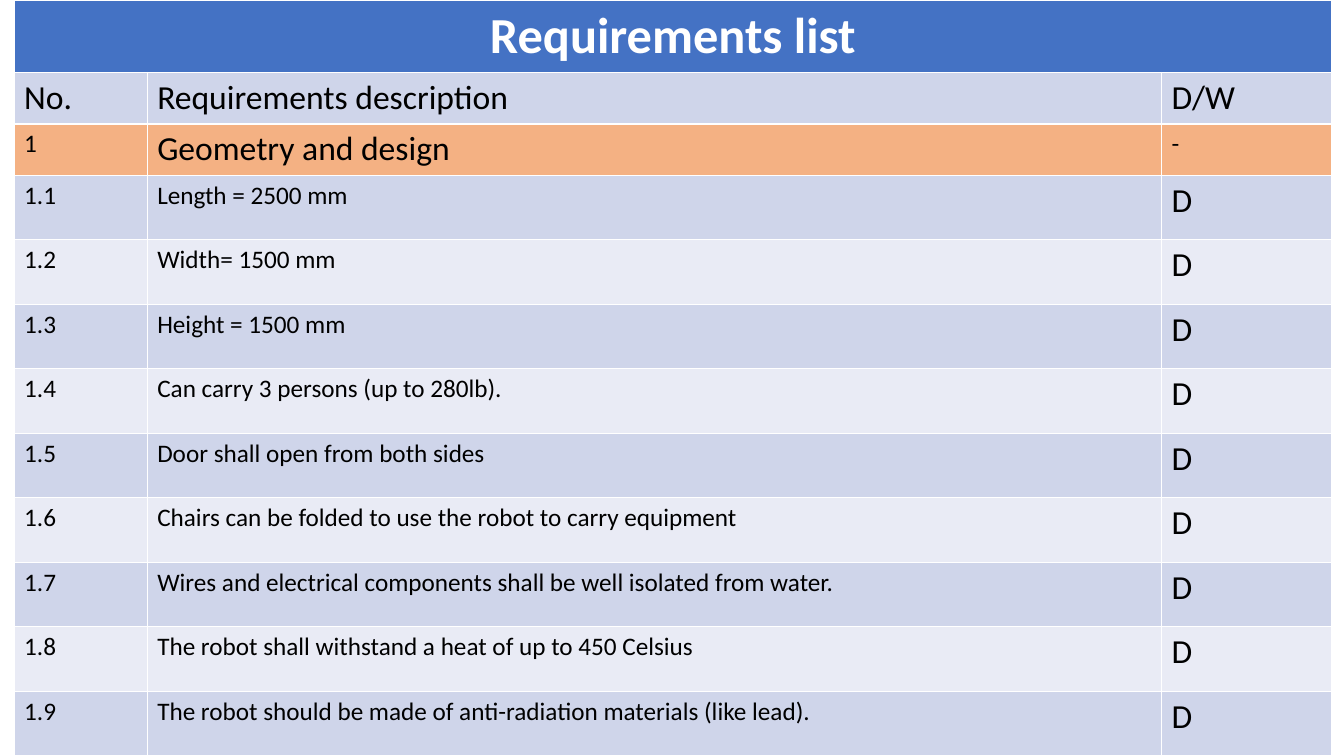
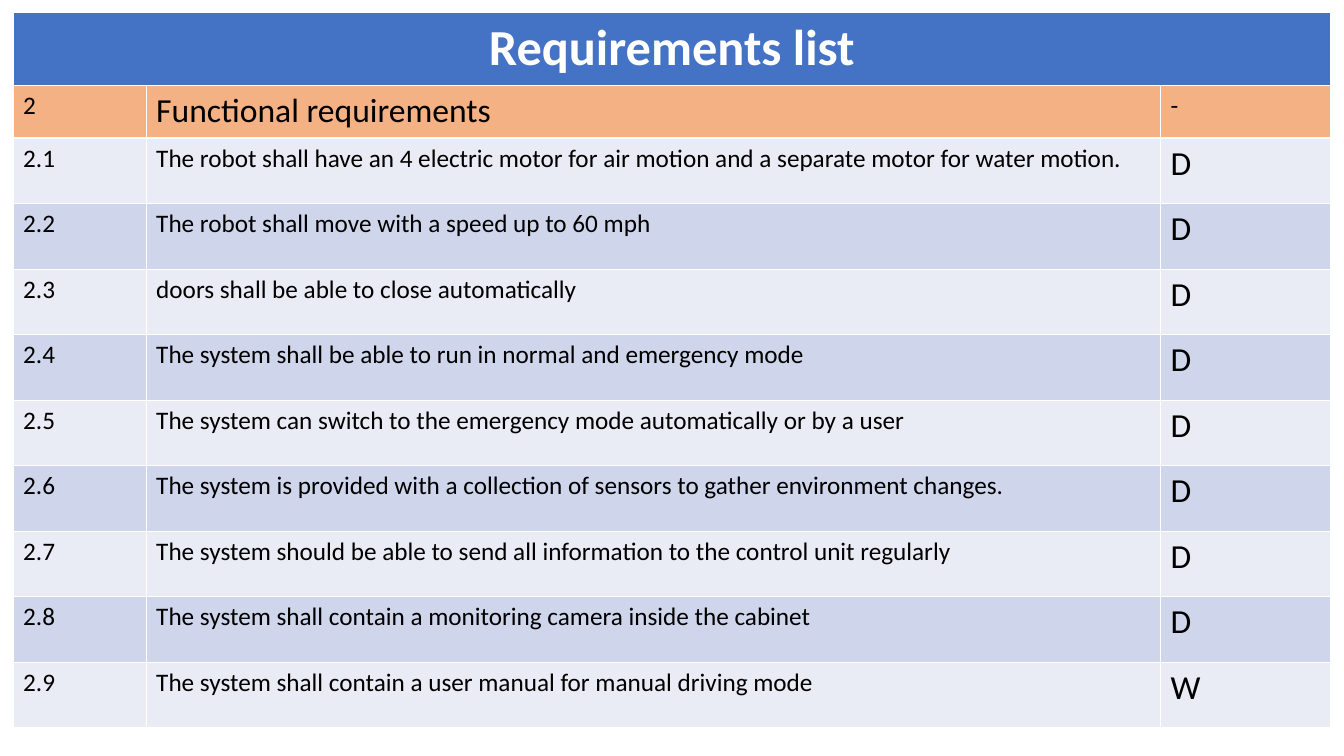
from dataclasses import dataclass

from pptx import Presentation
from pptx.dml.color import RGBColor
from pptx.enum.text import PP_ALIGN
from pptx.util import Inches, Pt

CENTER, LEFT = PP_ALIGN.CENTER, PP_ALIGN.LEFT
BLANK_LAYOUT = 6


@dataclass(frozen=True)
class Theme:
    font: str = "Calibri"
    header_fill: str = "4472C4"
    section_fill: str = "F4B183"
    bands: tuple = ("E9EBF5", "CFD5EA")  # even rows, odd rows
    header_text: str = "FFFFFF"
    body_text: str = "000000"
    header_size: int = 36
    large: int = 24
    small: int = 18
    columns: tuple = (1.32, 10.06, 1.69)


class RequirementsDeck:
    def __init__(self, theme):
        self.theme = theme
        self.deck = Presentation()
        self.deck.slide_width = Inches(13.33)
        self.deck.slide_height = Inches(7.5)
        self.slide = None
        # Type sizes of the three columns for each kind of row
        large, small = theme.large, theme.small
        self.row_sizes = {
            "labels": (large, large, large),
            "section": (small, large, small),
            "item": (small, small, large),
        }

    def add_slide(self):
        layout = self.deck.slide_layouts[BLANK_LAYOUT]
        self.slide = self.deck.slides.add_slide(layout)

    def fill_cell(self, cell, text, fill, size, color, bold=False, align=LEFT):
        cell.fill.solid()
        cell.fill.fore_color.rgb = RGBColor.from_string(fill)
        paragraph = cell.text_frame.paragraphs[0]
        paragraph.alignment = align
        run = paragraph.add_run()
        run.text = text
        run.font.color.rgb = RGBColor.from_string(color)
        font_format = {"name": self.theme.font, "size": Pt(size), "bold": bold}
        for attribute, value in font_format.items():
            setattr(run.font, attribute, value)

    def add_requirements(self, title, rows, left, top, heights):
        """Draw a titled table; heights maps each kind of row to inches."""
        theme = self.theme
        row_heights = [heights["title"]] + [heights[kind] for kind, _ in rows]
        table = self.slide.shapes.add_table(
            len(row_heights), len(theme.columns), Inches(left), Inches(top),
            Inches(sum(theme.columns)), Inches(sum(row_heights))).table
        for column, width in zip(table.columns, theme.columns):
            column.width = Inches(width)
        for row, height in zip(table.rows, row_heights):
            row.height = Inches(height)

        # Title across all columns
        header = table.cell(0, 0)
        header.merge(table.cell(0, len(theme.columns) - 1))
        self.fill_cell(header, title, theme.header_fill, theme.header_size,
                       theme.header_text, bold=True, align=CENTER)

        # Section rows stand out, the others alternate
        for index, (kind, texts) in enumerate(rows, start=1):
            band = theme.bands[index % 2]
            fill = theme.section_fill if kind == "section" else band
            for column, (text, size) in enumerate(zip(texts, self.row_sizes[kind])):
                self.fill_cell(table.cell(index, column), text, fill, size,
                               theme.body_text)

    def save(self):
        self.deck.save("out.pptx")


def section_rows(number, name, requirements):
    """Number the requirements of one section, given with their D/W mark."""
    items = [("item", (f"{number}.{position}", text, mark))
             for position, (text, mark) in enumerate(requirements, start=1)]
    return [("section", (str(number), name, "-"))] + items


TITLE = "Requirements list"
LABELS = ("labels", ("No.", "Requirements description", "D/W"))

GEOMETRY = [
    ("Length = 2500 mm", "D"),
    ("Width= 1500 mm", "D"),
    ("Height = 1500 mm", "D"),
    ("Can carry 3 persons (up to 280lb).", "D"),
    ("Door shall open from both sides", "D"),
    ("Chairs can be folded to use the robot to carry equipment", "D"),
    ("Wires and electrical components shall be well isolated from water.", "D"),
    ("The robot shall withstand a heat of up to 450 Celsius", "D"),
    ("The robot should be made of anti-radiation materials (like lead).", "D"),
]

FUNCTIONS = [
    ("The robot shall have an\u00a04 electric motor for air motion "
     "and a separate motor for water motion.", "D"),
    ("The robot shall move with a speed up to 60 mph", "D"),
    ("doors shall be able to close automatically", "D"),
    ("The system shall be able to run in normal and emergency mode", "D"),
    ("The system can switch to the emergency mode automatically or by a user", "D"),
    ("The system is provided with a collection of sensors "
     "to gather environment changes.", "D"),
    ("The system should be able to send all information "
     "to the control unit regularly", "D"),
    ("The system shall contain a monitoring camera inside the cabinet", "D"),
    ("The system shall contain a user manual for manual driving mode", "W"),
]

requirements_deck = RequirementsDeck(Theme())

# Slide 1: geometry and design
requirements_deck.add_slide()
requirements_deck.add_requirements(
    TITLE, [LABELS] + section_rows(1, "Geometry and design", GEOMETRY),
    left=0.14, top=0,
    heights={"title": 0.72, "labels": 0.51, "section": 0.51, "item": 0.64})

# Slide 2: functional requirements
requirements_deck.add_slide()
requirements_deck.add_requirements(
    TITLE, section_rows(2, "Functional requirements", FUNCTIONS),
    left=0.13, top=0.12,
    heights={"title": 0.73, "section": 0.52, "item": 0.65})

requirements_deck.save()
